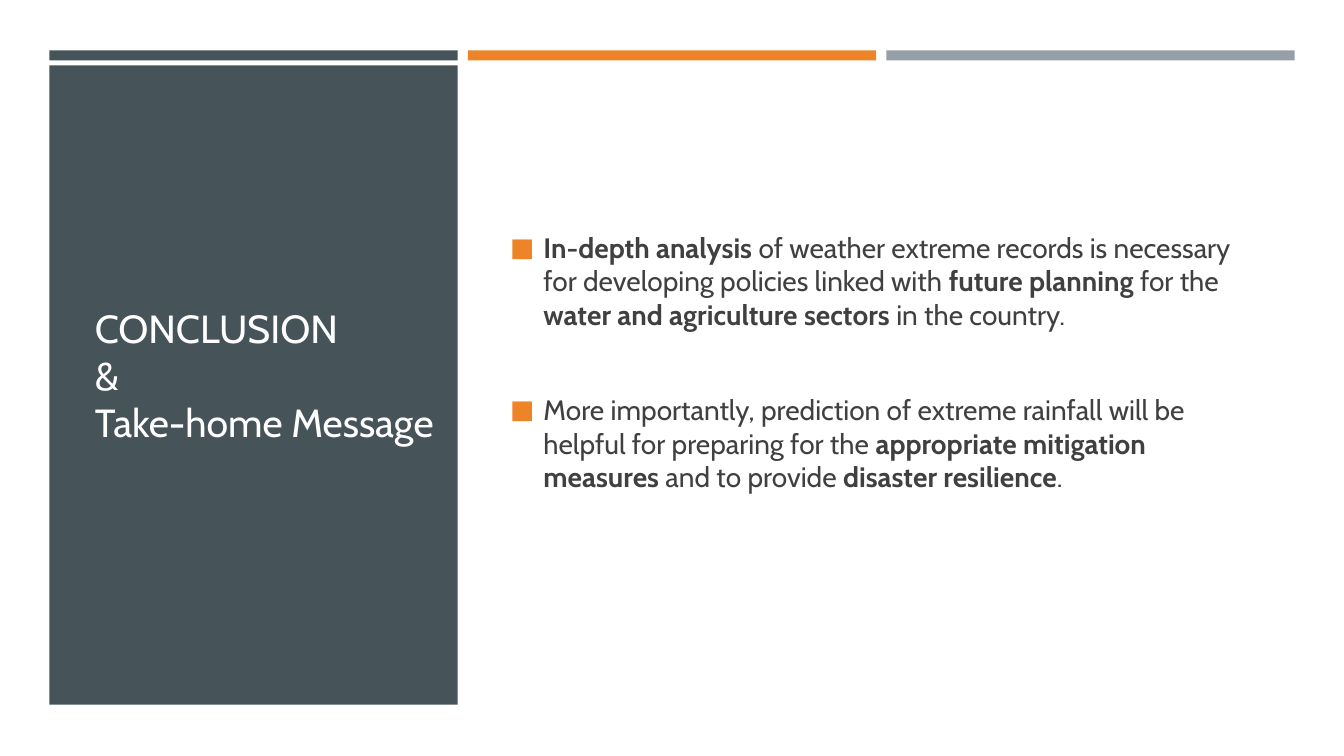
import pptx
import pptx.util
import pptx.dml.color
import pptx.enum.shapes
import pptx.enum.text
import pptx.oxml
import pptx.oxml.ns

Inches, Pt = pptx.util.Inches, pptx.util.Pt

# Content
TITLE_LINES = ["CONCLUSION", "&", "Take-home Message"]
MESSAGES = [  # each run: text, bold
    [("In-depth analysis ", True),
     ("of weather extreme records is necessary for developing policies linked with ", False),
     ("future planning ", True),
     ("for the ", False),
     ("water and agriculture sectors ", True),
     ("in the country.", False)],
    [("More importantly, prediction of extreme rainfall will be helpful for preparing for the ", False),
     ("appropriate mitigation measures ", True),
     ("and to provide ", False),
     ("disaster resilience", True),
     (".", False)],
]
COLORS = {"slate": "465359", "orange": "ED8428", "grey": "969FA7",
          "title": "FFFEFF", "body": "404040"}
FONT = "Cabin"

# Layout
LEFT, BAR_TOP, BAR_W, BAR_H, BAR_GAP = 0.49, 0.5, 4.05, 0.1, 0.1
PANEL_TOP, PANEL_H = 0.65, 6.34


def rgb(name):
    return pptx.dml.color.RGBColor.from_string(COLORS[name])


def add_block(s, left, top, width, height, color):
    sp = s.shapes.add_shape(pptx.enum.shapes.MSO_SHAPE.RECTANGLE,
                            Inches(left), Inches(top), Inches(width), Inches(height))
    sp.shadow.inherit = False
    sp.fill.solid()
    sp.fill.fore_color.rgb = rgb(color)
    sp.line.fill.background()


def place_text(s, sp, left, top, width, height):
    """Move a placeholder in front of the blocks and centre its text vertically."""
    s.shapes._spTree.append(sp._element)
    sp.left, sp.top = Inches(left), Inches(top)
    sp.width, sp.height = Inches(width), Inches(height)
    tf = sp.text_frame
    tf.word_wrap = True
    tf.auto_size = pptx.enum.text.MSO_AUTO_SIZE.NONE
    tf.vertical_anchor = pptx.enum.text.MSO_ANCHOR.MIDDLE
    return tf


def add_run(p, text, size, color, bold=False):
    r = p.add_run()
    r.text = text
    r.font.name, r.font.size, r.font.bold = FONT, Pt(size), bold
    r.font.color.rgb = rgb(color)


def add_bullet(p):
    pPr = p._p.get_or_add_pPr()
    indent = Inches(0.33)
    pPr.set("marL", str(indent))
    pPr.set("indent", str(-indent))
    ns = pptx.oxml.ns.nsdecls("a")
    for xml in (f'<a:buClr {ns}><a:srgbClr val="{COLORS["orange"]}"/></a:buClr>',
                f'<a:buSzPct {ns} val="92000"/>',
                f'<a:buFont {ns} typeface="{FONT}"/>',
                f'<a:buChar {ns} char="■"/>'):
        pPr.append(pptx.oxml.parse_xml(xml))


def main():
    prs = pptx.Presentation()
    prs.slide_width, prs.slide_height = Inches(13.33), Inches(7.5)
    s = prs.slides.add_slide(prs.slide_layouts[1])

    # Top bars and title panel
    for i, color in enumerate(("slate", "orange", "grey")):
        add_block(s, LEFT + i * (BAR_W + BAR_GAP), BAR_TOP, BAR_W, BAR_H, color)
    add_block(s, LEFT, PANEL_TOP, BAR_W, PANEL_H, "slate")

    # Title
    tf = place_text(s, s.shapes.title, 0.84, 1.14, 3.58, 5.15)
    p = tf.paragraphs[0]
    p.alignment = pptx.enum.text.PP_ALIGN.LEFT
    p.space_before = Pt(0)
    for i, line in enumerate(TITLE_LINES):
        if i:
            p.add_line_break()
        add_run(p, line, 28, "title")

    # Messages
    tf = place_text(s, s.placeholders[1], 4.96, 1.14, 7.36, 5.27)
    tf.margin_bottom = Inches(0.42)
    for i, message in enumerate(MESSAGES):
        p = tf.paragraphs[0] if i == 0 else tf.add_paragraph()
        add_bullet(p)
        p.space_before = Pt(44 if i else 0)
        for text, bold in message:
            add_run(p, text, 20, "body", bold)

    prs.save("out.pptx")


if __name__ == "__main__":
    main()
